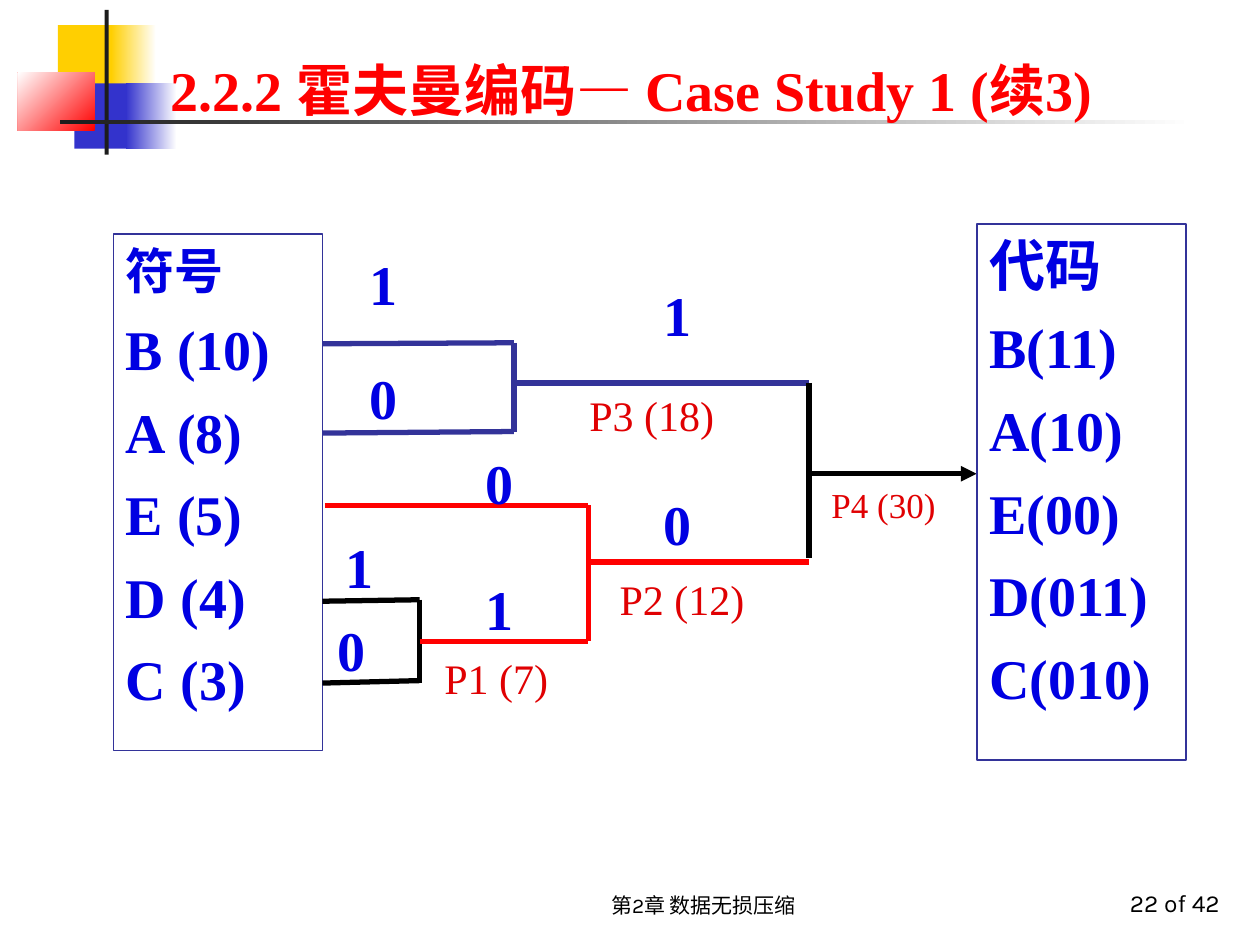
from pptx import Presentation
from pptx.dml.color import RGBColor
from pptx.enum.shapes import MSO_CONNECTOR, MSO_SHAPE
from pptx.enum.text import MSO_ANCHOR, PP_ALIGN
from pptx.oxml.ns import qn
from pptx.util import Cm, Pt
from lxml import etree

RECT = MSO_SHAPE.RECTANGLE
STRAIGHT = MSO_CONNECTOR.STRAIGHT
TOP, BOTTOM = MSO_ANCHOR.TOP, MSO_ANCHOR.BOTTOM
LEFT, CENTER, RIGHT = PP_ALIGN.LEFT, PP_ALIGN.CENTER, PP_ALIGN.RIGHT

WHITE = RGBColor(0xFF, 0xFF, 0xFF)
BLACK = RGBColor(0, 0, 0)
CHARCOAL = RGBColor(0x1C, 0x1C, 0x1C)
YELLOW = RGBColor(0xFF, 0xCF, 0x01)
BLUE = RGBColor(0x33, 0x33, 0xCC)
NAVY = RGBColor(0x33, 0x33, 0x99)
RED = RGBColor(0xFF, 0, 0)
LABEL_RED = RGBColor(0xE0, 0, 0x02)
TEXT_BLUE = RGBColor(0, 0, 0xE2)

SERIF, SANS = "Times New Roman", "Karla"


def write(tf, lines, size=32, color=TEXT_BLUE, font=SERIF, bold=False,
          align=LEFT, anchor=TOP, gap=0, first_size=None):
    """Fill a text frame with one paragraph per line, gap points apart."""
    tf.word_wrap = True
    tf.vertical_anchor = anchor
    for i, line in enumerate(lines):
        p = tf.paragraphs[0] if i == 0 else tf.add_paragraph()
        p.alignment = align
        if i:
            p.space_before = Pt(gap)
        r = p.add_run()
        r.text = line
        r.font.size = Pt(first_size if i == 0 and first_size else size)
        r.font.name = font
        r.font.bold = bold
        r.font.color.rgb = color


def add_text(slide, x, y, w, h, text, **fmt):
    s = slide.shapes.add_textbox(Cm(x), Cm(y), Cm(w), Cm(h))
    write(s.text_frame, [text], **fmt)


def add_block(slide, x, y, w, h, start, end=None, angle=0):
    """Rectangle in one colour, or fading from start to end."""
    s = slide.shapes.add_shape(RECT, Cm(x), Cm(y), Cm(w), Cm(h))
    s.shadow.inherit = False
    s.line.fill.background()
    if end is None:
        s.fill.solid()
        s.fill.fore_color.rgb = start
        return
    s.fill.gradient()
    s.fill.gradient_angle = angle
    for stop, color, pos in zip(s.fill.gradient_stops, (start, end), (0, 1)):
        stop.color.rgb = color
        stop.position = pos


def add_wire(slide, x1, y1, x2, y2, color, arrow=False):
    c = slide.shapes.add_connector(STRAIGHT, Cm(x1), Cm(y1), Cm(x2), Cm(y2))
    c.line.color.rgb = color
    c.line.width = Pt(3)
    if arrow:
        etree.SubElement(c.line._get_or_add_ln(), qn("a:tailEnd"), type="triangle")
    etree.SubElement(c._element.spPr, qn("a:effectLst"))


def add_ornament(slide, x, y):
    for dx, dy, w, h, *colors in (
        (0.81, 0.31, 1.22, 1.32, YELLOW),
        (1.88, 0.31, 0.91, 1.32, WHITE, YELLOW, 180),
        (1.14, 1.48, 1.17, 1.32, BLUE),
        (2.18, 1.48, 1.02, 1.32, WHITE, BLUE, 180),
        (0, 1.27, 1.55, 1.17, RED, WHITE, 135),
        (1.75, 0, 0.08, 2.92, CHARCOAL),
        (0.86, 2.21, 22.86, 0.09, WHITE, CHARCOAL, 180),
    ):
        add_block(slide, x + dx, y + dy, w, h, *colors)


def add_column(slide, x, y, w, h, lines, line_width, first_size=None):
    s = slide.shapes.add_shape(RECT, Cm(x), Cm(y), Cm(w), Cm(h))
    s.shadow.inherit = False
    s.fill.background()
    s.line.color.rgb = NAVY
    s.line.width = Pt(line_width)
    write(s.text_frame, lines, bold=True, gap=8.8, first_size=first_size)


def add_tree(slide, x, y):
    """Huffman tree growing rightwards from the symbol column at x."""
    # Leaf branches: start x, start y, end x, end y
    for x1, y1, x2, y2, color in (
        (0, 2.43, 3.86, 2.41, NAVY),
        (0, 4.23, 3.86, 4.2, NAVY),
        (0.05, 5.69, 5.36, 5.69, RED),
        (0, 7.62, 1.96, 7.59, BLACK),
        (0, 9.27, 1.96, 9.22, BLACK),
    ):
        add_wire(slide, x + x1, y + y1, x + x2, y + y2, color)

    # Merge nodes: bar x, top, bottom, its colour; output y, end x, its colour
    for bar, top, bottom, color, out, end, out_color, arrow in (
        (1.96, 7.59, 9.27, BLACK, 8.43, 5.36, RED, False),
        (5.36, 5.69, 8.43, RED, 6.83, 9.81, RED, False),
        (3.86, 2.41, 4.2, NAVY, 3.22, 9.81, NAVY, False),
        (9.81, 3.22, 6.75, BLACK, 5.05, 13.19, BLACK, True),
    ):
        add_wire(slide, x + bar, y + top, x + bar, y + bottom, color)
        add_wire(slide, x + bar, y + out, x + end, y + out, out_color, arrow)

    for dx, dy, w, text, size in (
        (2.21, 8.53, 3.23, "P1 (7)", 24),
        (5.74, 6.93, 4.45, "P2 (12)", 24),
        (5.13, 3.22, 3.48, "P3 (18)", 24),
        (10.01, 5.13, 3.81, "P4 (30)", 20),
    ):
        add_text(slide, x + dx, y + dy, w, 1.7, text, size=size, color=LABEL_RED)

    for dx, dy, bit in (
        (0.69, 0.4, "1"), (0.69, 2.71, "0"),
        (6.63, 1.04, "1"), (6.63, 5.25, "0"),
        (3.03, 4.42, "0"), (3.03, 6.96, "1"),
        (0.21, 6.12, "1"), (0.05, 7.79, "0"),
    ):
        add_text(slide, x + dx, y + dy, 1.9, 1.7, bit, bold=True)


def add_footer(slide, x, y, h):
    add_text(slide, x, y, 8.05, h, "第2章 数据无损压缩", size=12, color=BLACK,
             font=SANS, align=CENTER, anchor=BOTTOM)
    add_text(slide, x + 9.4, y, 5.28, h, "22 of 42", size=14, color=BLACK,
             font=SANS, align=RIGHT, anchor=BOTTOM)


def main():
    prs = Presentation()
    prs.slide_width, prs.slide_height = Cm(25.4), Cm(19.05)
    slide = prs.slides.add_slide(prs.slide_layouts[6])
    add_ornament(slide, 0.36, 0.2)
    add_text(slide, 3.18, 0.43, 21.64, 2.16, "2.2.2 霍夫曼编码— Case Study 1 (续3)",
             color=RED, bold=True, anchor=BOTTOM)
    add_column(slide, 2.29, 4.72, 4.22, 10.41,
               ["符号", "B (10)", "A (8)", "E (5)", "D (4)", "C (3)"], 0.75, 28)
    add_tree(slide, 6.5, 4.5)
    add_column(slide, 19.69, 4.52, 4.22, 10.8,
               ["代码", "B(11)", "A(10)", "E(00)", "D(011)", "C(010)"], 1)
    add_footer(slide, 10.16, 17.35, 1.27)
    prs.save("out.pptx")


if __name__ == "__main__":
    main()
